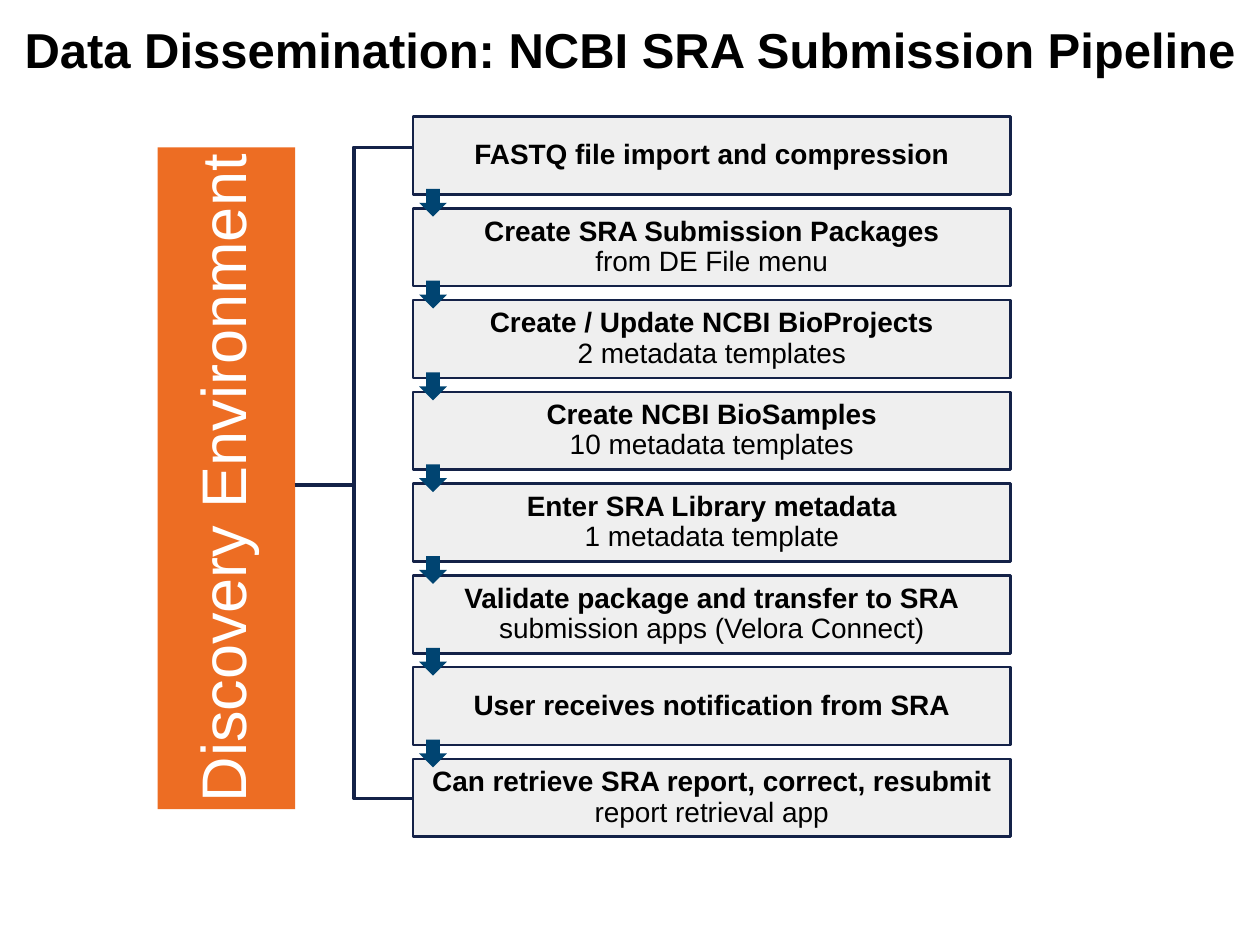
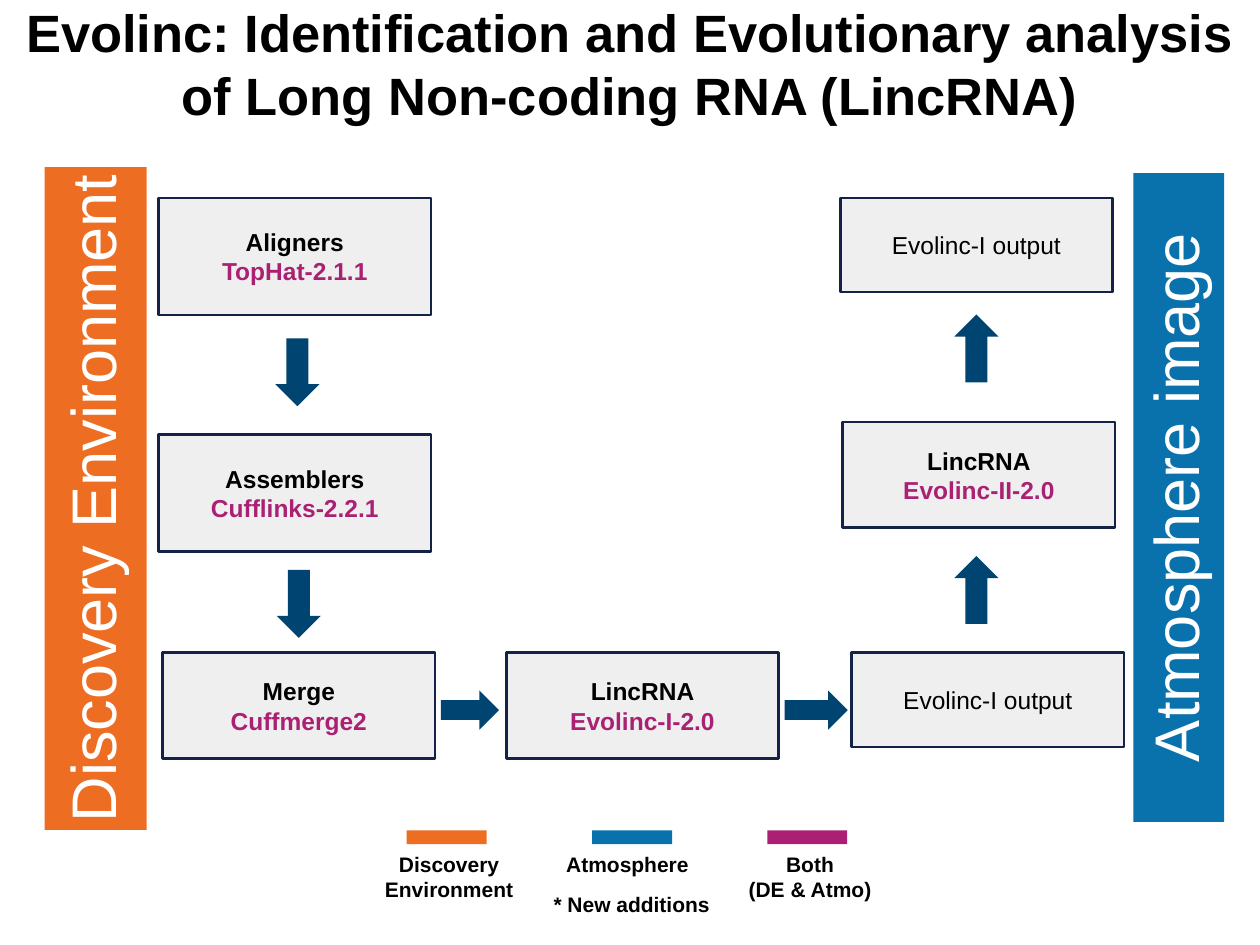
from pptx import Presentation
from pptx.dml.color import RGBColor
from pptx.enum.shapes import MSO_SHAPE as Preset
from pptx.enum.text import MSO_ANCHOR as Anchor, MSO_AUTO_SIZE as AutoSize, PP_ALIGN as Align
from pptx.util import Cm, Pt

FONT = "Arial"
BLACK, WHITE = "000000", "FFFFFF"
ORANGE, BLUE, MAGENTA = "ED6D23", "0971AB", "AA2173"
NAVY, GREY, ARROW_BLUE = "142248", "EFEFEF", "004471"
TITLE_ONLY = 5

STEPS = [
    ("FASTQ file import and compression",),
    ("Create SRA Submission Packages", "from DE File menu"),
    ("Create / Update NCBI BioProjects", "2 metadata templates"),
    ("Create NCBI BioSamples", "10 metadata templates"),
    ("Enter SRA Library metadata", "1 metadata template"),
    ("Validate package and transfer to SRA", "submission apps (Velora Connect)"),
    ("User receives notification from SRA",),
    ("Can retrieve SRA report, correct, resubmit", "report retrieval app"),
]
STEP_LEFT, STEP_TOP, STEP_WIDTH, STEP_HEIGHT, STEP_PITCH = 8.33, 2.35, 12.04, 1.57, 1.85

# left, top, height, heading, tool
TOOL_BOXES = [
    (3.2, 3.99, 2.36, "Aligners", "TopHat-2.1.1"),
    (3.2, 8.76, 2.36, "Assemblers", "Cufflinks-2.2.1"),
    (3.28, 13.16, 2.13, "Merge", "Cuffmerge2"),
    (10.21, 13.16, 2.13, "LincRNA", "Evolinc-I-2.0"),
    (16.99, 8.51, 2.13, "LincRNA", "Evolinc-II-2.0"),
]
OUTPUT_BOXES = [(17.17, 13.16), (16.94, 3.99)]
TOOL_WIDTH = 5.49

FLOW_ARROWS = [
    (Preset.DOWN_ARROW, 5.55, 6.82, 0.89, 1.37),
    (Preset.DOWN_ARROW, 5.58, 11.49, 0.89, 1.37),
    (Preset.RIGHT_ARROW, 8.89, 13.92, 1.17, 0.79),
    (Preset.RIGHT_ARROW, 15.82, 13.92, 1.27, 0.79),
    (Preset.UP_ARROW, 19.24, 11.21, 0.89, 1.37),
    (Preset.UP_ARROW, 19.24, 6.34, 0.89, 1.37),
]

# colour, swatch left, label left, label width, label lines
LEGEND = [
    (ORANGE, 8.2, 7.06, 3.99, ("Discovery", "Environment")),
    (BLUE, 11.94, 11.1, 3.1, ("Atmosphere",)),
    (MAGENTA, 15.47, 14.78, 3.1, ("Both", "(DE & Atmo)")),
]


def rgb(hex_colour):
    return RGBColor.from_string(hex_colour)


def write(frame, lines, size, inset, anchor=Anchor.MIDDLE, spacing=1.0):
    """Fill a text frame with centred lines given as (text, bold, colour)."""
    frame.word_wrap = True
    frame.auto_size = AutoSize.NONE
    frame.vertical_anchor = anchor
    frame.margin_left = frame.margin_right = Cm(inset)
    frame.margin_top = frame.margin_bottom = Cm(inset)
    for index, (text, bold, colour) in enumerate(lines):
        paragraph = frame.add_paragraph() if index else frame.paragraphs[0]
        paragraph.alignment = Align.CENTER
        paragraph.line_spacing = spacing
        run = paragraph.add_run()
        run.text = text
        run.font.name = FONT
        run.font.size = Pt(size)
        run.font.bold = bold
        run.font.color.rgb = rgb(colour)


def add_titled_slide(presentation, title, top, height, size):
    slide = presentation.slides.add_slide(presentation.slide_layouts[TITLE_ONLY])
    shape = slide.shapes.title
    shape.left, shape.top = Cm(0), Cm(top)
    shape.width, shape.height = presentation.slide_width, Cm(height)
    write(shape.text_frame, [(title, True, BLACK)], size, 0.25)
    return slide


def add_filled(slide, preset, left, top, width, height, colour):
    """Add a preset shape without outline or shadow."""
    shape = slide.shapes.add_shape(preset, Cm(left), Cm(top), Cm(width), Cm(height))
    shape.shadow.inherit = False
    shape.fill.solid()
    shape.fill.fore_color.rgb = rgb(colour)
    shape.line.fill.background()
    return shape


def add_box(slide, left, top, width, height, lines, size, spacing=1.0):
    shape = add_filled(slide, Preset.RECTANGLE, left, top, width, height, GREY)
    shape.line.color.rgb = rgb(NAVY)
    shape.line.width = Pt(1.5)
    write(shape.text_frame, lines, size, 0.03, spacing=spacing)


def add_side_bar(slide, left, top, width, height, text, colour):
    """Add an upright bar whose text reads from bottom to top."""
    shift = (height - width) / 2
    bar = add_filled(slide, Preset.RECTANGLE, left - shift, top + shift, height, width, colour)
    bar.rotation = 270
    write(bar.text_frame, [(text, False, WHITE)], 36, 0.08, spacing=0.9)


def add_bracket_arm(slide, start_x, start_y, end_x, end_y):
    middle = (start_x + end_x) / 2
    builder = slide.shapes.build_freeform(Cm(start_x), Cm(start_y))
    corners = [(middle, start_y), (middle, end_y), (end_x, end_y)]
    builder.add_line_segments([(Cm(x), Cm(y)) for x, y in corners], close=False)
    arm = builder.convert_to_shape()
    arm.shadow.inherit = False
    arm.fill.background()
    arm.line.color.rgb = rgb(NAVY)
    arm.line.width = Pt(2)


def add_label(slide, left, top, width, height, lines):
    label = slide.shapes.add_textbox(Cm(left), Cm(top), Cm(width), Cm(height))
    write(label.text_frame, [(line, True, BLACK) for line in lines], 12, 0.25, Anchor.TOP)


def build_submission_slide(presentation):
    slide = add_titled_slide(
        presentation, "Data Dissemination: NCBI SRA Submission Pipeline", 0.23, 1.5, 28)
    add_side_bar(slide, 3.18, 2.97, 2.77, 13.34, "Discovery Environment", ORANGE)
    for end_y in (2.97, 16.1):
        add_bracket_arm(slide, 5.94, 9.78, STEP_LEFT, end_y)

    tops = [STEP_TOP + index * STEP_PITCH for index in range(len(STEPS))]
    for top, step in zip(tops, STEPS):
        lines = [(text, index == 0, BLACK) for index, text in enumerate(step)]
        add_box(slide, STEP_LEFT, top, STEP_WIDTH, STEP_HEIGHT, lines, 16, 0.9)
    for top in tops[:-1]:
        add_filled(slide, Preset.DOWN_ARROW, STEP_LEFT + 0.12, top + 1.46, 0.56, 0.56, ARROW_BLUE)


def build_evolinc_slide(presentation):
    slide = add_titled_slide(
        presentation,
        "Evolinc: Identification and Evolutionary analysis of Long Non-coding RNA (LincRNA)",
        0.33, 1.9, 30)
    add_side_bar(slide, 0.9, 3.37, 2.06, 13.36, "Discovery Environment", ORANGE)
    add_side_bar(slide, 22.85, 3.49, 1.83, 13.08, "Atmosphere image", BLUE)

    for left, top, height, heading, tool in TOOL_BOXES:
        lines = [(heading, True, BLACK), (tool, True, MAGENTA)]
        add_box(slide, left, top, TOOL_WIDTH, height, lines, 14)
    for left, top in OUTPUT_BOXES:
        add_box(slide, left, top, TOOL_WIDTH, 1.9, [("Evolinc-I output", False, BLACK)], 14)
    for arrow in FLOW_ARROWS:
        add_filled(slide, *arrow, ARROW_BLUE)

    for colour, swatch_left, label_left, label_width, lines in LEGEND:
        add_filled(slide, Preset.RECTANGLE, swatch_left, 16.74, 1.61, 0.28, colour)
        add_label(slide, label_left, 16.92, label_width, 0.89, lines)
    add_label(slide, 10.69, 17.73, 4.09, 1.32, ["* New additions"])


def main():
    presentation = Presentation()
    presentation.slide_width, presentation.slide_height = Cm(25.4), Cm(19.05)
    build_submission_slide(presentation)
    build_evolinc_slide(presentation)
    presentation.save("out.pptx")


if __name__ == "__main__":
    main()
